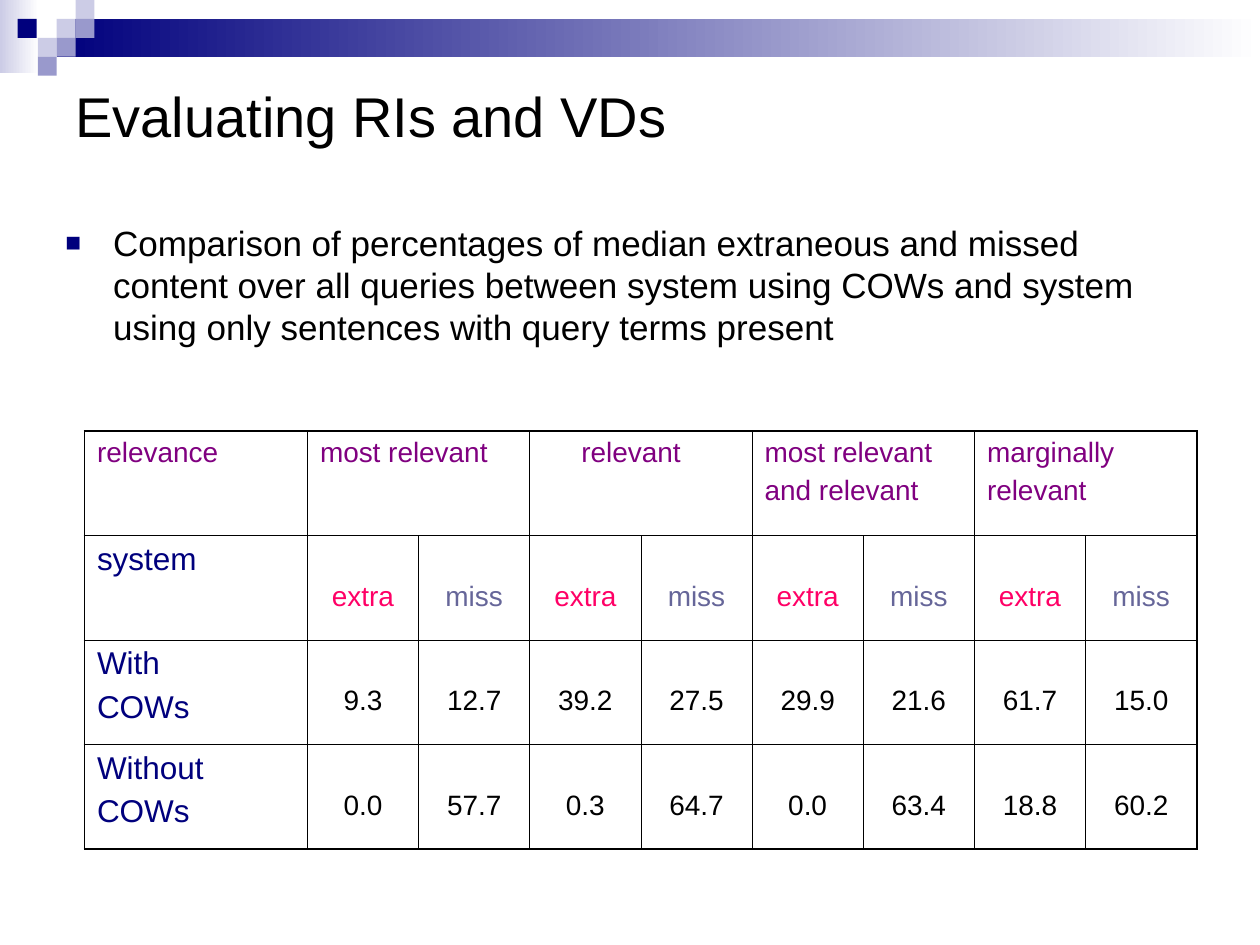
from dataclasses import dataclass

from lxml import etree
from pptx import Presentation
from pptx import util as u
from pptx.dml import color as col
from pptx.enum import shapes, text
from pptx.oxml import ns

NAVY, LILAC, MID, WHITE, BLACK = "00007D", "CCCCE6", "9999CC", "FFFFFF", "000000"
PURPLE, PINK, SLATE = "800080", "FF0066", "666699"
LEFT, MID_AL = text.PP_ALIGN.LEFT, text.PP_ALIGN.CENTER
SIDE = 0.15
INNER, OUTER = 0.45, 1.08


@dataclass
class Block:
    """A decorative rectangle; with an end colour it fades to the right."""
    x: float
    y: float
    w: float
    h: float
    hue: str
    end: str = ""


@dataclass
class Style:
    size: float
    hue: str
    align: int = LEFT
    space: float = 0


@dataclass
class Entry:
    """The content of one table cell."""
    row: int
    col: int
    words: str
    style: Style
    span: int = 1
    left: float = 0.1
    top: float = 0.05


def rgb(hue: str) -> col.RGBColor:
    return col.RGBColor.from_string(hue)


def draw_block(slide, b: Block) -> None:
    box = slide.shapes.add_shape(
        shapes.MSO_SHAPE.RECTANGLE, *map(u.Inches, (b.x, b.y, b.w, b.h)))
    box.shadow.inherit = False
    box.line.fill.background()
    if b.end:
        box.fill.gradient()
        box.fill.gradient_angle = 0
        for stop, hue in zip(box.fill.gradient_stops, (b.hue, b.end)):
            stop.color.rgb = rgb(hue)
    else:
        box.fill.solid()
        box.fill.fore_color.rgb = rgb(b.hue)


def write(frame, words: str, style: Style) -> None:
    frame.text = words
    form = {"name": "Arial", "size": u.Pt(style.size)}
    for par in frame.paragraphs:
        par.alignment = style.align
        par.space_before = u.Pt(style.space)
        for run in par.runs:
            for key, value in form.items():
                setattr(run.font, key, value)
            run.font.color.rgb = rgb(style.hue)


def add_text(slide, at: tuple, words: str, style: Style, form: dict):
    box = slide.shapes.add_textbox(*map(u.Inches, at))
    frame = box.text_frame
    for key, value in {"word_wrap": True, **form}.items():
        setattr(frame, key, value)
    write(frame, words, style)
    return frame


def add_bullet(par, hang: float) -> None:
    props = par._p.get_or_add_pPr()
    props.set("marL", str(u.Inches(hang)))
    props.set("indent", str(-u.Inches(hang)))
    hue = etree.SubElement(props, ns.qn("a:buClr"))
    etree.SubElement(hue, ns.qn("a:srgbClr"), val=NAVY)
    etree.SubElement(props, ns.qn("a:buSzPct"), val="75000")
    etree.SubElement(props, ns.qn("a:buFont"), typeface="Arial")
    etree.SubElement(props, ns.qn("a:buChar"), char="■")


def add_border(cell, sides: dict) -> None:
    props = cell._tc.get_or_add_tcPr()
    for side, outer in sides.items():
        width = u.Pt(OUTER if outer else INNER)
        line = etree.SubElement(props, ns.qn(f"a:ln{side}"), w=str(width))
        fill = etree.SubElement(line, ns.qn("a:solidFill"))
        etree.SubElement(fill, ns.qn("a:srgbClr"), val=BLACK)


def fill_cell(grid, e: Entry) -> None:
    cell, last = grid.cell(e.row, e.col), e.col + e.span - 1
    if e.span > 1:
        cell.merge(grid.cell(e.row, last))
    form = {"margin_left": u.Inches(e.left), "margin_right": u.Inches(0.1),
            "margin_top": u.Inches(e.top), "margin_bottom": u.Inches(0.05)}
    for key, value in form.items():
        setattr(cell, key, value)
    write(cell.text_frame, e.words, e.style)
    for c in range(e.col, last + 1):
        part = grid.cell(e.row, c)
        add_border(part, {"L": c == 0, "R": last == len(grid.columns) - 1,
                          "T": e.row == 0, "B": e.row == len(grid.rows) - 1})
        part.fill.background()


def list_cells() -> list[Entry]:
    head = Style(16, PURPLE, LEFT, 4)
    side = Style(18, NAVY, LEFT, 4.5)
    drop = 0.36  # lowers the text to the second line of its cell
    tops = ("most relevant", "relevant", "most relevant\nand relevant",
            "marginally\nrelevant")
    rows = {
        "system": ("extra", "miss") * 4,
        "With\nCOWs": ("9.3", "12.7", "39.2", "27.5", "29.9", "21.6", "61.7", "15.0"),
        "Without\nCOWs": ("0.0", "57.7", "0.3", "64.7", "0.0", "63.4", "18.8", "60.2"),
    }
    hues = {"extra": PINK, "miss": SLATE}
    cells = [Entry(0, 0, "relevance", head)]
    for i, words in enumerate(tops):
        left = 0.41 if words == "relevant" else 0.1
        cells.append(Entry(0, 1 + 2 * i, words, head, span=2, left=left))
    for r, (name, values) in enumerate(rows.items(), 1):
        cells.append(Entry(r, 0, name, side))
        for c, value in enumerate(values, 1):
            style = Style(16, hues.get(value, BLACK), MID_AL, 4)
            cells.append(Entry(r, c, value, style, top=drop))
    return cells


def add_grid(slide) -> None:
    wide, first, tall = 8.83, 1.77, 0.83
    at = map(u.Inches, (0.67, 3.42, wide, 4 * tall))
    grid = slide.shapes.add_table(4, 9, *at).table
    grid.first_row = grid.horz_banding = False
    for i, column in enumerate(grid.columns):
        column.width = u.Inches((wide - first) / 8 if i else first)
    for row in grid.rows:
        row.height = u.Inches(tall)
    for entry in list_cells():
        fill_cell(grid, entry)


def main() -> None:
    deck = Presentation()
    deck.slide_width, deck.slide_height = u.Inches(10), u.Inches(7.5)
    slide = deck.slides.add_slide(deck.slide_layouts[6])

    # Header bands and mosaic
    bands = [Block(0, 0, 0.31, 0.58, LILAC, WHITE),
             Block(0.45, SIDE, 9.55, 2 * SIDE, NAVY, WHITE)]
    tiles = [(0.45, 0.15, LILAC), (0.6, 0, LILAC), (0.6, 0.15, MID),
             (0.3, 0.3, LILAC), (0.14, 0.15, NAVY), (0.45, 0.3, MID),
             (0.3, 0.45, MID)]
    for block in bands + [Block(x, y, SIDE, SIDE, hue) for x, y, hue in tiles]:
        draw_block(slide, block)

    # Title and bullet
    add_text(slide, (0.5, 0.5, 9, 0.83), "Evaluating RIs and VDs", Style(32, BLACK),
             {"vertical_anchor": text.MSO_ANCHOR.MIDDLE})
    body = add_text(
        slide, (0.42, 1.33, 9, 5.33),
        "Comparison of percentages of median extraneous and missed content over "
        "all queries between system using COWs and system using only sentences "
        "with query terms present",
        Style(20, BLACK), {"margin_top": u.Inches(0.43)})
    add_bullet(body.paragraphs[0], 0.38)

    # Results table
    add_grid(slide)
    deck.save("out.pptx")


if __name__ == "__main__":
    main()
